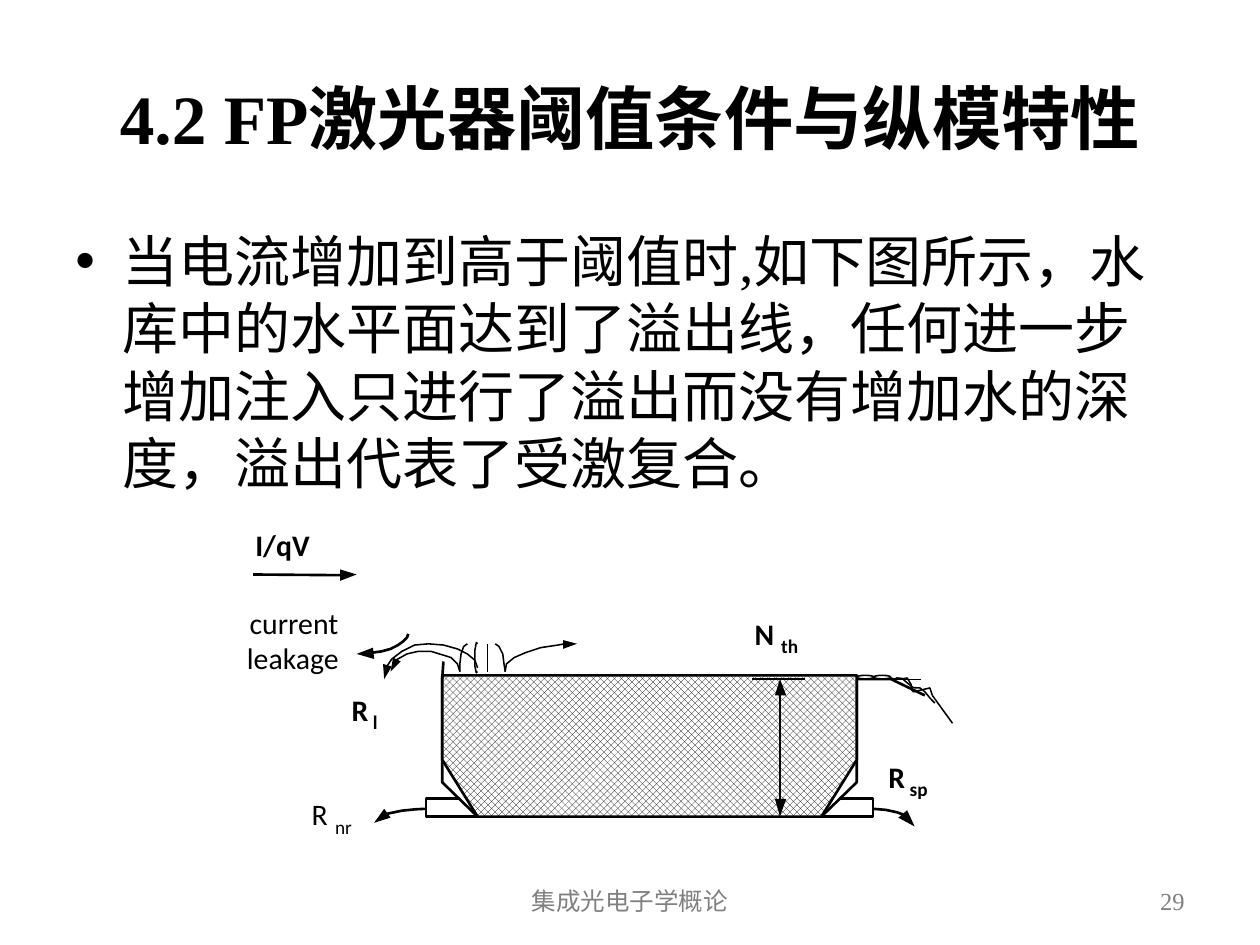
from lxml import etree
from pptx import Presentation
from pptx import util as u
from pptx.dml.color import RGBColor
from pptx.enum import dml, shapes, text
from pptx.oxml import ns

Pt = u.Pt
BLACK = RGBColor(0, 0, 0)
WHITE = RGBColor(255, 255, 255)
GRAY = RGBColor(128, 128, 128)
SERIF, SANS = "Times New Roman", "Calibri"
LEFT, CENTER, RIGHT = text.PP_ALIGN.LEFT, text.PP_ALIGN.CENTER, text.PP_ALIGN.RIGHT
TOP, MIDDLE = text.MSO_ANCHOR.TOP, text.MSO_ANCHOR.MIDDLE

prs = Presentation()
prs.slide_width, prs.slide_height = Pt(720), Pt(540)
s = prs.slides.add_slide(prs.slide_layouts[6])


def add_text(content, x, y, w, h, size, font=SANS, color=BLACK, bold=False,
             align=LEFT, anchor=TOP, label=False, bullet=False):
    tf = s.shapes.add_textbox(Pt(x), Pt(y), Pt(w), Pt(h)).text_frame
    tf.word_wrap = not label
    tf.vertical_anchor = anchor
    if label:
        tf.margin_left = tf.margin_right = tf.margin_top = tf.margin_bottom = 0
    p = tf.paragraphs[0]
    p.alignment = align
    if bullet:
        pPr = p._p.get_or_add_pPr()
        pPr.set("marL", str(Pt(27)))
        pPr.set("indent", str(-Pt(27)))
        etree.SubElement(pPr, ns.qn("a:buFont")).set("typeface", "Arial")
        etree.SubElement(pPr, ns.qn("a:buChar")).set("char", "•")
    r = p.add_run()
    r.text = content
    r.font.size, r.font.name, r.font.bold = Pt(size), font, bold
    r.font.color.rgb = color


def add_outline(points, width=None, fill=None, close=False):
    (x, y), *rest = [(Pt(px), Pt(py)) for px, py in points]
    fb = s.shapes.build_freeform(x, y, 1.0)
    fb.add_line_segments(rest, close=close)
    sp = fb.convert_to_shape()
    sp.shadow.inherit = False
    if fill is None:
        sp.fill.background()
    else:
        sp.fill.solid()
        sp.fill.fore_color.rgb = fill
    if width is None:
        sp.line.fill.background()
    else:
        sp.line.color.rgb = BLACK
        sp.line.width = Pt(width)
    return sp


# Title, body and footer
add_text("4.2 FP激光器阈值条件与纵模特性", 36, 21.6, 648, 90, 39.6, font=SERIF,
         bold=True, align=CENTER, anchor=MIDDLE)
add_text("当电流增加到高于阈值时,如下图所示，水库中的水平面达到了溢出线，"
         "任何进一步增加注入只进行了溢出而没有增加水的深度，溢出代表了受激复合。",
         36, 126, 648, 356.4, 32, font=SERIF, bullet=True)
add_text("集成光电子学概论", 246, 500.5, 228, 28.75, 14, color=GRAY,
         align=CENTER, anchor=MIDDLE)
add_text("29", 516, 500.5, 168, 28.75, 14, font=SERIF, color=GRAY,
         align=RIGHT, anchor=MIDDLE)

# Reservoir wall with spillway, then the water
add_outline([(252.7, 388), (252.7, 447), (272.9, 466.6), (469.4, 466.6),
             (489.6, 447), (489.6, 388), (509, 388), (528.5, 397.4)], 1.5)
water = add_outline([(252.7, 385.9), (252.7, 434.2), (272.9, 466.6), (469.4, 466.6),
                     (489.6, 434.2), (489.6, 385.9)], 1.5, close=True)
water.fill.patterned()
water.fill.pattern = dml.MSO_PATTERN.OUTLINED_DIAMOND
water.fill.fore_color.rgb = BLACK
water.fill.back_color.rgb = WHITE

# Foam on the spillway
for x in (489.6, 499.2):
    sp = s.shapes.add_shape(shapes.MSO_SHAPE.OVAL, Pt(x), Pt(385.9), Pt(9.8), Pt(2))
    sp.shadow.inherit = False
    sp.fill.solid()
    sp.fill.fore_color.rgb = WHITE
    sp.line.color.rgb = BLACK
    sp.line.width = Pt(0.88)

# Curves: line width, points
curves = [
    # outlet pipes
    (1.5, [(272.9, 466.6), (243.4, 466.6), (243.4, 456.5), (262.8, 456.5)]),
    (1.5, [(479.5, 456.5), (499, 456.5), (499, 466.6), (469.4, 466.6)]),
    # current leakage, outflow left, outflow right
    (1.5, [(233.3, 362.2), (232.6, 364.3), (230.4, 366.5), (227.5, 368.6),
           (223.2, 370.8), (218.2, 372.2), (212.4, 373)]),
    (1.5, [(243.4, 462.2), (237.6, 462.5), (229.7, 463.3), (221, 465.1)]),
    (1.5, [(499, 462.2), (506.2, 462.8), (512.6, 464.2), (517, 465.8)]),
    # overflow ripples
    (0.88, [(509, 387.4), (511.2, 388.1), (512.6, 387.4), (515.5, 387.7), (518.4, 390.2),
            (522, 393), (525.6, 393.1), (528.5, 395.3), (531.4, 398.9), (534.2, 401.8)]),
    (0.88, [(514.8, 388.1), (518.4, 387.4), (520.6, 391), (520.6, 393.8),
            (522, 395.3), (528.5, 393.8), (531.4, 393.1), (532.8, 397.4)]),
    # incoming jets
    (0.88, [(267.1, 367.9), (265, 369.4), (263.5, 373.7), (262.8, 379.4), (262.8, 383.8)]),
    (0.88, [(272.9, 367.9), (272.2, 367.2), (271.4, 371.5), (271.4, 380.9),
            (272.2, 384.5), (272.9, 383.8)]),
    (0.88, [(283, 367.9), (285.1, 369.4), (287.3, 373.7), (288, 379.4), (288.7, 383.8)]),
    # splashes
    (0.88, [(262.8, 383.8), (261.4, 379.4), (257.8, 375.8), (253.4, 374.4),
            (246.2, 372.2), (239, 372.2), (232.6, 373.7), (226.1, 377.3)]),
    (0.88, [(272.9, 381.6), (271.4, 377.3), (267.1, 373.7), (261.4, 370.8), (253.4, 368.6),
            (244.8, 367.9), (236.9, 368.6), (229.7, 372.2), (223.9, 376.6), (221, 380.9)]),
    (0.88, [(288.7, 383.8), (289.4, 379.4), (293.8, 375.8), (300.2, 373),
            (308.9, 370.1), (318.9, 368.6), (322.6, 367.9)]),
]
for width, points in curves:
    add_outline(points, width)

# Straight lines: from, to, width
lines = [
    (144.7, 328.3, 195.1, 328.7, 1.5),   # injected current
    (429.8, 388.1, 460.1, 388.1, 1.5),   # water level
    (445.7, 396.7, 445.7, 457.2, 1.5),   # depth
    (252.7, 388.1, 253.4, 378, 1.5),     # wall tip
    (509, 388.1, 526.3, 388.1, 0.5),     # spillway level
    (532.8, 397.4, 544.3, 413.3, 0.88),  # overflow
    (278.6, 367.9, 278.6, 383.8, 0.88),  # jet
]
for x1, y1, x2, y2, width in lines:
    c = s.shapes.add_connector(shapes.MSO_CONNECTOR.STRAIGHT, Pt(x1), Pt(y1), Pt(x2), Pt(y2))
    c.line.color.rgb = BLACK
    c.line.width = Pt(width)
    etree.SubElement(c._element.spPr, ns.qn("a:effectLst"))

# Arrowheads
heads = [
    [(194.4, 325.4), (203.8, 328.3), (194.4, 331.9)],  # injected current
    [(213.8, 376.6), (203.8, 373.7), (213.1, 370.1)],  # current leakage
    [(442.8, 397.4), (445.7, 388.1), (449.3, 397.4)],  # depth, top
    [(449.3, 456.5), (445.7, 466.6), (442.8, 456.5)],  # depth, bottom
    [(223.2, 467.3), (213.8, 470.2), (219.6, 462.2)],  # outflow left
    [(518.4, 463), (522.7, 472.3), (513.4, 467.3)],    # outflow right
    [(229, 378), (223.2, 383.8), (224.6, 375.8)],      # splashes
    [(223.9, 380.9), (219.6, 388.1), (218.9, 379.4)],
    [(321.8, 365.8), (329.8, 367.9), (321.8, 370.8)],
]
for points in heads:
    add_outline(points, fill=BLACK, close=True)

# Labels: text, left, top, width, size, bold
labels = [
    ("I/qV", 145.9, 301, 34, 17, True),
    ("current", 142.6, 345.6, 54, 17, False),
    ("leakage", 141.1, 365.8, 57.6, 17, False),
    ("R", 200.9, 395.3, 19.4, 17, True),
    ("l", 213.1, 406.1, 7.9, 11, True),
    ("R", 178.1, 455, 19.4, 17, False),
    ("nr", 191.5, 465.8, 13.7, 11, False),
    ("R", 507.6, 433.4, 19.4, 17, True),
    ("sp", 519.8, 444.2, 15.1, 11, True),
    ("N", 431.3, 352.1, 19.4, 17, True),
    ("th", 446.4, 362.2, 10.1, 11, True),
]
for content, x, y, w, size, bold in labels:
    add_text(content, x, y, w, size * 1.3, size, bold=bold, label=True)

prs.save("out.pptx")
